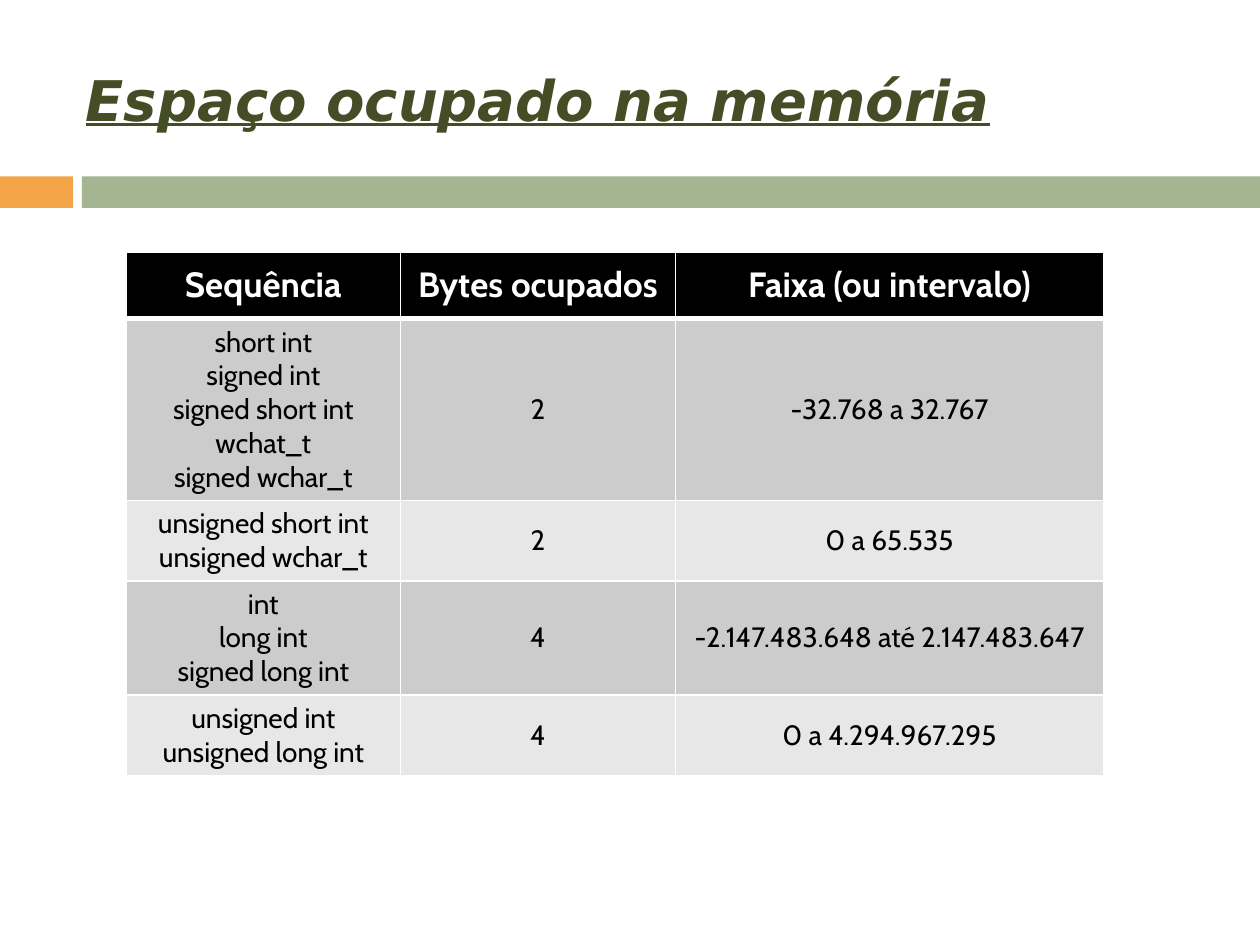
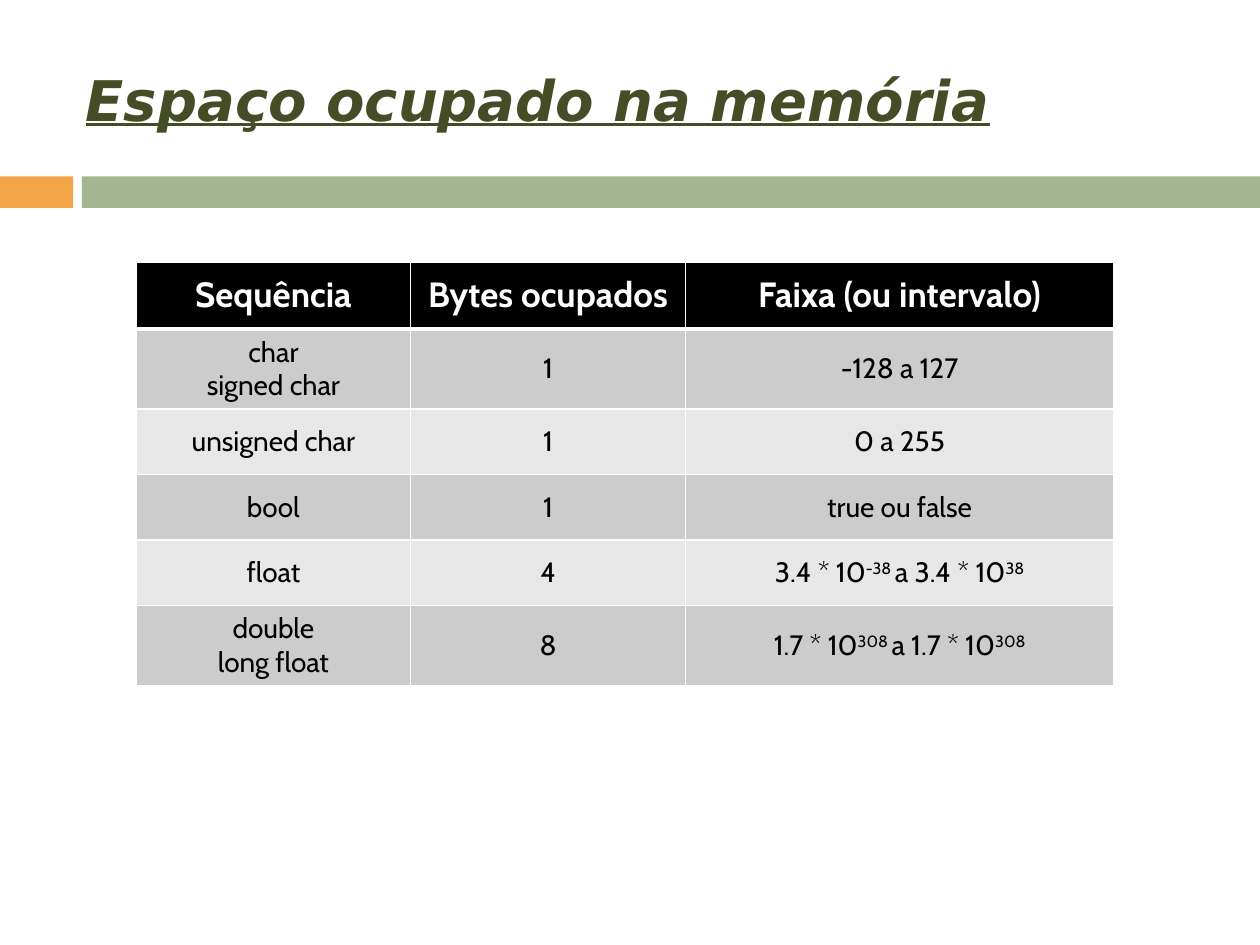
from copy import deepcopy

from lxml import etree
from pptx import Presentation
from pptx.dml.color import RGBColor
from pptx.enum.shapes import MSO_SHAPE
from pptx.enum.text import MSO_ANCHOR, MSO_AUTO_SIZE, PP_ALIGN
from pptx.oxml.ns import qn
from pptx.util import Inches, Pt

RECTANGLE = MSO_SHAPE.RECTANGLE
MIDDLE = MSO_ANCHOR.MIDDLE
LEFT, CENTER = PP_ALIGN.LEFT, PP_ALIGN.CENTER
NO_AUTOFIT = MSO_AUTO_SIZE.NONE

COLORS = {
    "orange": "F3A447",
    "green": "A5B592",
    "title": "444D26",
    "white": "FFFFFF",
    "black": "000000",
    "odd_row": "CCCCCC",
    "even_row": "E7E7E7",
}
TITLE_FORMAT = {"name": "DejaVu Sans", "size": Pt(32), "bold": True,
                "italic": True, "underline": True}
HEADER_FORMAT = {"name": "Cabin", "size": Pt(20), "bold": True}
BODY_FORMAT = {"name": "Cabin", "size": Pt(16), "bold": False}

TITLE = "Espaço ocupado na memória"
BANDS = [(0, 0.58, "orange"), (0.65, 9.35, "green")]
HEADERS = ["Sequência", "Bytes ocupados", "Faixa (ou intervalo)"]
COLUMN_WIDTHS = [2.18, 2.18, 3.4]
HEADER_HEIGHT, ROW_HEIGHT = 0.53, 0.52
LINE_HEIGHT, CELL_MARGINS = 0.26, 0.1

INTEGER_TYPES = [
    ("short int\nsigned int\nsigned short int\nwchat_t\nsigned wchar_t",
     "2", "-32.768 a 32.767"),
    ("unsigned short int\nunsigned wchar_t", "2", "0 a 65.535"),
    ("int\nlong int\nsigned long int", "4", "-2.147.483.648 até 2.147.483.647"),
    ("unsigned int\nunsigned long int", "4", "0 a 4.294.967.295"),
]
# Text between a pair of ^ marks is superscript.
OTHER_TYPES = [
    ("char\nsigned char", "1", "-128 a 127"),
    ("unsigned char", "1", "0 a 255"),
    ("bool", "1", "true ou false"),
    ("float", "4", "3.4 * 10^-38 ^a 3.4 * 10^38"),
    ("double\nlong float", "8", "1.7 * 10^308 ^a 1.7 * 10^308"),
]


def rgb(color):
    return RGBColor.from_string(COLORS[color])


def format_font(font, values, color):
    for name, value in values.items():
        setattr(font, name, value)
    font.color.rgb = rgb(color)


def add_title(slide):
    title = slide.shapes.title
    title.left, title.top = Inches(0.58), Inches(0.42)
    title.width, title.height = Inches(9), Inches(0.74)
    frame = title.text_frame
    frame.text = TITLE
    frame.auto_size = NO_AUTOFIT
    frame.vertical_anchor = MIDDLE
    para = frame.paragraphs[0]
    para.alignment = LEFT
    format_font(para.runs[0].font, TITLE_FORMAT, "title")


def add_bands(slide):
    for left, width, color in BANDS:
        band = slide.shapes.add_shape(RECTANGLE, Inches(left), Inches(1.4),
                                      Inches(width), Inches(0.25))
        band.shadow.inherit = False
        band.fill.solid()
        band.fill.fore_color.rgb = rgb(color)
        band.line.fill.background()


def set_borders(cell, widths):
    properties = cell._tc.get_or_add_tcPr()
    for side, width in widths.items():
        line = etree.SubElement(properties, qn(f"a:ln{side}"), w=str(Pt(width)))
        fill = etree.SubElement(line, qn("a:solidFill"))
        etree.SubElement(fill, qn("a:srgbClr"), val=COLORS["white"])


def write_spans(para, text, values, color):
    """Write text with line breaks, raising every part between ^ marks."""
    for index, part in enumerate(text.split("^")):
        for line_index, line in enumerate(part.split("\n")):
            if line_index:
                para.add_line_break()
            span = para.add_run()
            span.text = line
            format_font(span.font, values, color)
            if index % 2:
                span._r.get_or_add_rPr().set("baseline", "30000")
    first_properties = para.runs[0]._r.get_or_add_rPr()
    for line_break in para._p.findall(qn("a:br")):
        line_break.append(deepcopy(first_properties))


def fill_cell(cell, text, row_index):
    if row_index == 0:
        fill, color, values = "black", "white", HEADER_FORMAT
    else:
        fill = "odd_row" if row_index % 2 else "even_row"
        color, values = "black", BODY_FORMAT
    set_borders(cell, {"L": 1, "R": 1, "T": 3 if row_index == 1 else 1,
                       "B": 3 if row_index == 0 else 1})
    cell.fill.solid()
    cell.fill.fore_color.rgb = rgb(fill)
    cell.vertical_anchor = MIDDLE
    para = cell.text_frame.paragraphs[0]
    para.alignment = CENTER
    write_spans(para, text, values, color)


def row_height(row):
    lines = max(text.count("\n") + 1 for text in row)
    return max(ROW_HEIGHT, lines * LINE_HEIGHT + CELL_MARGINS)


def add_type_table(slide, left, top, types):
    rows = [HEADERS, *types]
    heights = [HEADER_HEIGHT, *map(row_height, types)]
    table = slide.shapes.add_table(
        len(rows), len(HEADERS), Inches(left), Inches(top),
        Inches(sum(COLUMN_WIDTHS)), Inches(sum(heights))).table
    for column, width in zip(table.columns, COLUMN_WIDTHS):
        column.width = Inches(width)
    for row_index, (row, height) in enumerate(zip(rows, heights)):
        table.rows[row_index].height = Inches(height)
        for column_index, text in enumerate(row):
            fill_cell(table.cell(row_index, column_index), text, row_index)


def add_type_slide(deck, left, top, types):
    slide = deck.slides.add_slide(deck.slide_layouts.get_by_name("Title Only"))
    add_bands(slide)
    add_title(slide)
    add_type_table(slide, left, top, types)


def main():
    deck = Presentation()
    deck.slide_width, deck.slide_height = Inches(10), Inches(7.5)
    add_type_slide(deck, 1, 2, INTEGER_TYPES)
    add_type_slide(deck, 1.08, 2.08, OTHER_TYPES)
    deck.save("out.pptx")


if __name__ == "__main__":
    main()
